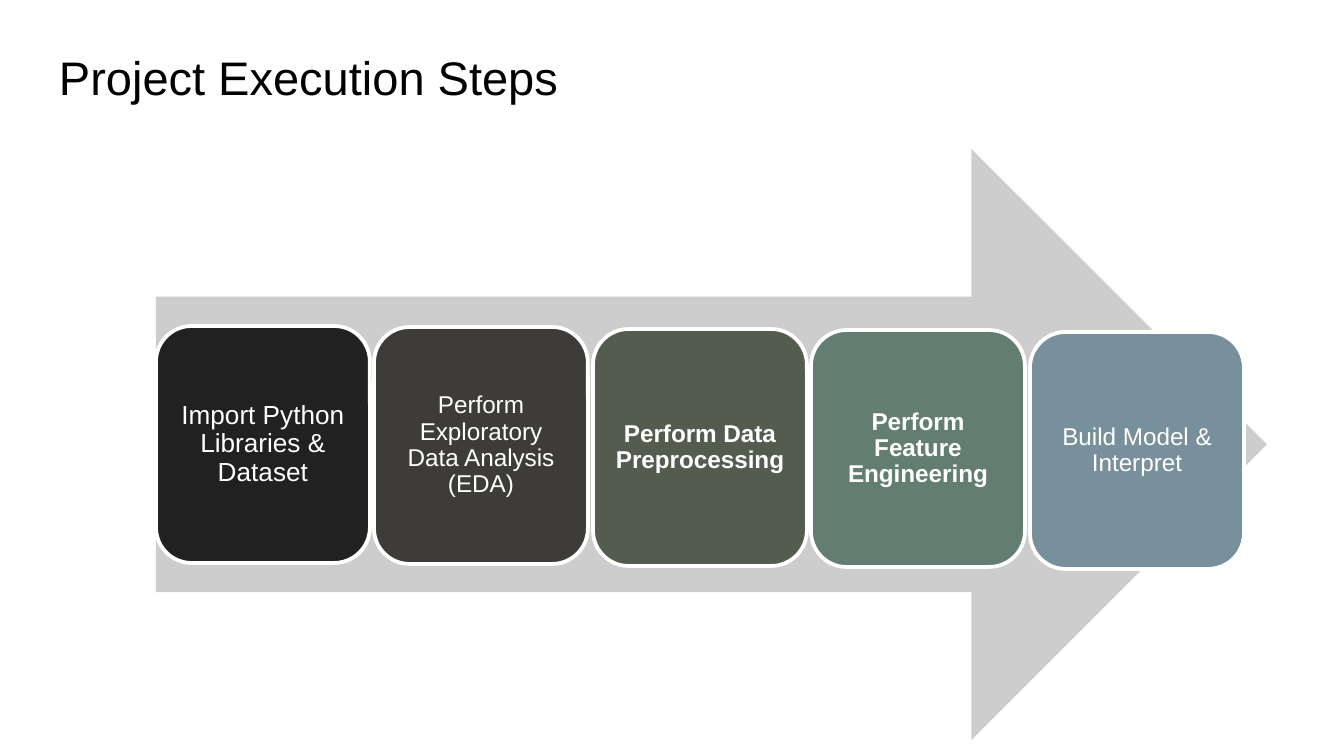
import pptx
import pptx.util
import pptx.dml.color
import pptx.enum.shapes
import pptx.enum.text

RGBColor = pptx.dml.color.RGBColor
Shape = pptx.enum.shapes.MSO_SHAPE
Anchor = pptx.enum.text.MSO_ANCHOR
Align = pptx.enum.text.PP_ALIGN

EMU_PER_PX = 914400 / 134.4
FONT = "Arial"

BLACK = RGBColor(0x00, 0x00, 0x00)
WHITE = RGBColor(0xFF, 0xFF, 0xFF)
ARROW_GREY = RGBColor(0xCD, 0xCD, 0xCD)
CHARCOAL = RGBColor(0x21, 0x21, 0x21)
BROWN_GREY = RGBColor(0x3E, 0x3C, 0x39)
OLIVE = RGBColor(0x54, 0x5C, 0x4F)
GREEN = RGBColor(0x63, 0x7D, 0x70)
SLATE = RGBColor(0x78, 0x90, 0x9C)

# label, fill, text size, bold, inset
STEPS = [
    ("Import Python Libraries & Dataset", CHARCOAL, 14, False, 8),
    ("Perform Exploratory Data Analysis (EDA)", BROWN_GREY, 13, False, 7),
    ("Perform Data Preprocessing", OLIVE, 13, True, 7),
    ("Perform Feature Engineering", GREEN, 13, True, 7),
    ("Build Model & Interpret", SLATE, 13, False, 7),
]
STEPS_LEFT, STEPS_TOP = 156, 326
STEP_WIDTH, STEP_HEIGHT = 214, 237
LAST_STEP_RIGHT_SHIFT, LAST_STEP_DROP = 874, 6


def px(length):
    return pptx.util.Emu(round(length * EMU_PER_PX))


def write(frame, text, size, color, inset, bold=False):
    frame.word_wrap = True
    frame.margin_left = frame.margin_right = px(inset)
    frame.margin_top = frame.margin_bottom = px(inset)
    frame.text = text
    font = frame.paragraphs[0].runs[0].font
    font.name = FONT
    font.size = pptx.util.Pt(size)
    font.bold = bold
    font.color.rgb = color


def add_title(slide, text):
    title = slide.shapes.add_textbox(px(46), px(36), px(1253), px(84))
    write(title.text_frame, text, 25.2, BLACK, 13)


def add_filled(slide, preset, left, top, width, height, fill):
    shape = slide.shapes.add_shape(preset, px(left), px(top), px(width), px(height))
    shape.shadow.inherit = False
    shape.fill.solid()
    shape.fill.fore_color.rgb = fill
    return shape


def add_arrow(slide):
    arrow = add_filled(slide, Shape.RIGHT_ARROW, 156, 149, 1111, 591, ARROW_GREY)
    arrow.line.fill.background()


def add_step(slide, left, top, label, fill, size, bold, inset):
    step = add_filled(slide, Shape.ROUNDED_RECTANGLE, left, top,
                      STEP_WIDTH, STEP_HEIGHT, fill)
    step.line.color.rgb = WHITE
    step.line.width = pptx.util.Pt(2)
    frame = step.text_frame
    write(frame, label, size, WHITE, inset, bold)
    frame.vertical_anchor = Anchor.MIDDLE
    frame.paragraphs[0].alignment = Align.CENTER
    frame.paragraphs[0].line_spacing = 0.9


def main():
    deck = pptx.Presentation()
    deck.slide_width, deck.slide_height = px(1344), px(756)
    slide = deck.slides.add_slide(deck.slide_layouts[6])

    add_title(slide, "Project Execution Steps")
    add_arrow(slide)
    gaps = len(STEPS) - 1
    for index, step in enumerate(STEPS):
        left = STEPS_LEFT + LAST_STEP_RIGHT_SHIFT * index // gaps
        top = STEPS_TOP + LAST_STEP_DROP * index // gaps
        add_step(slide, left, top, *step)

    deck.save("out.pptx")


if __name__ == "__main__":
    main()
